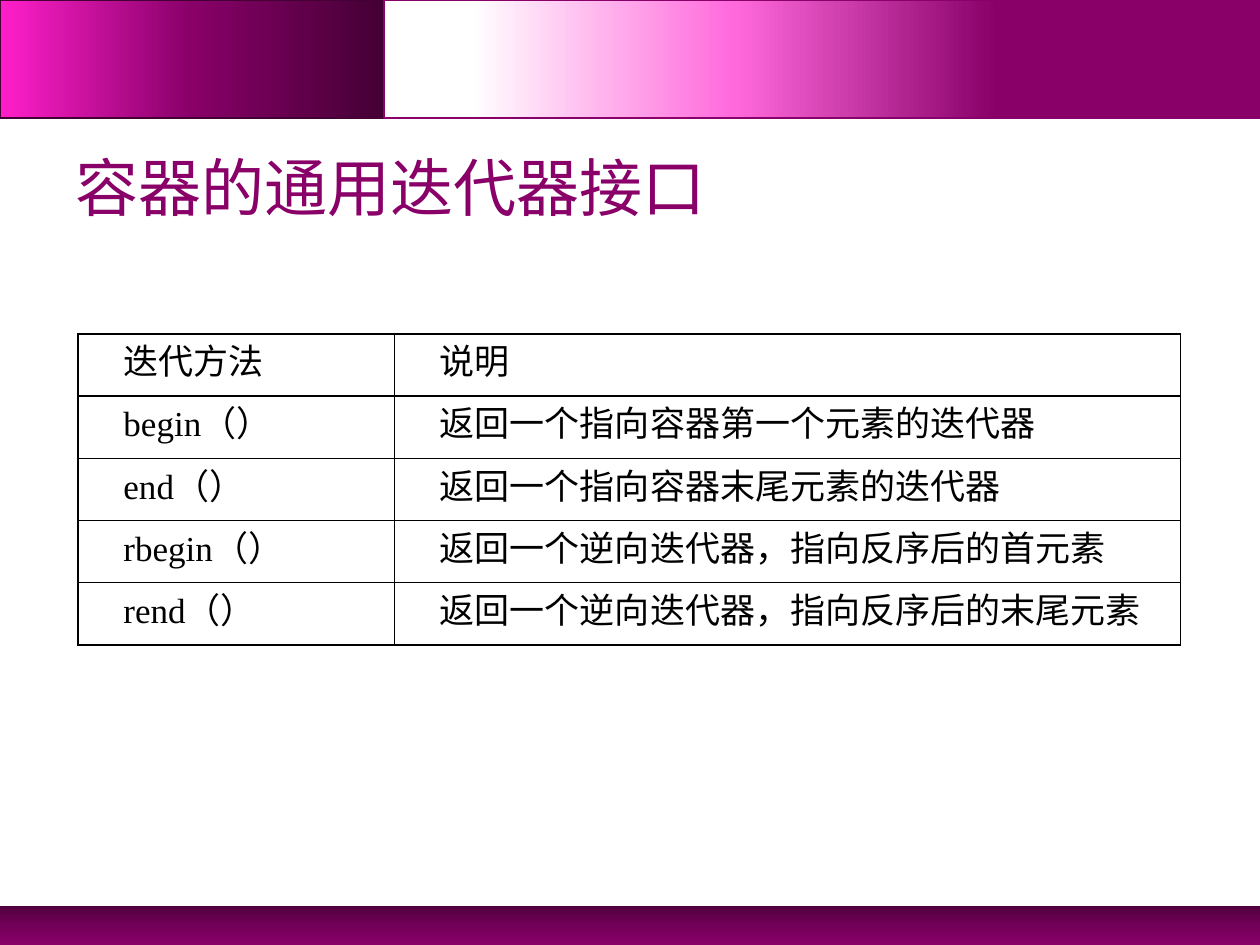
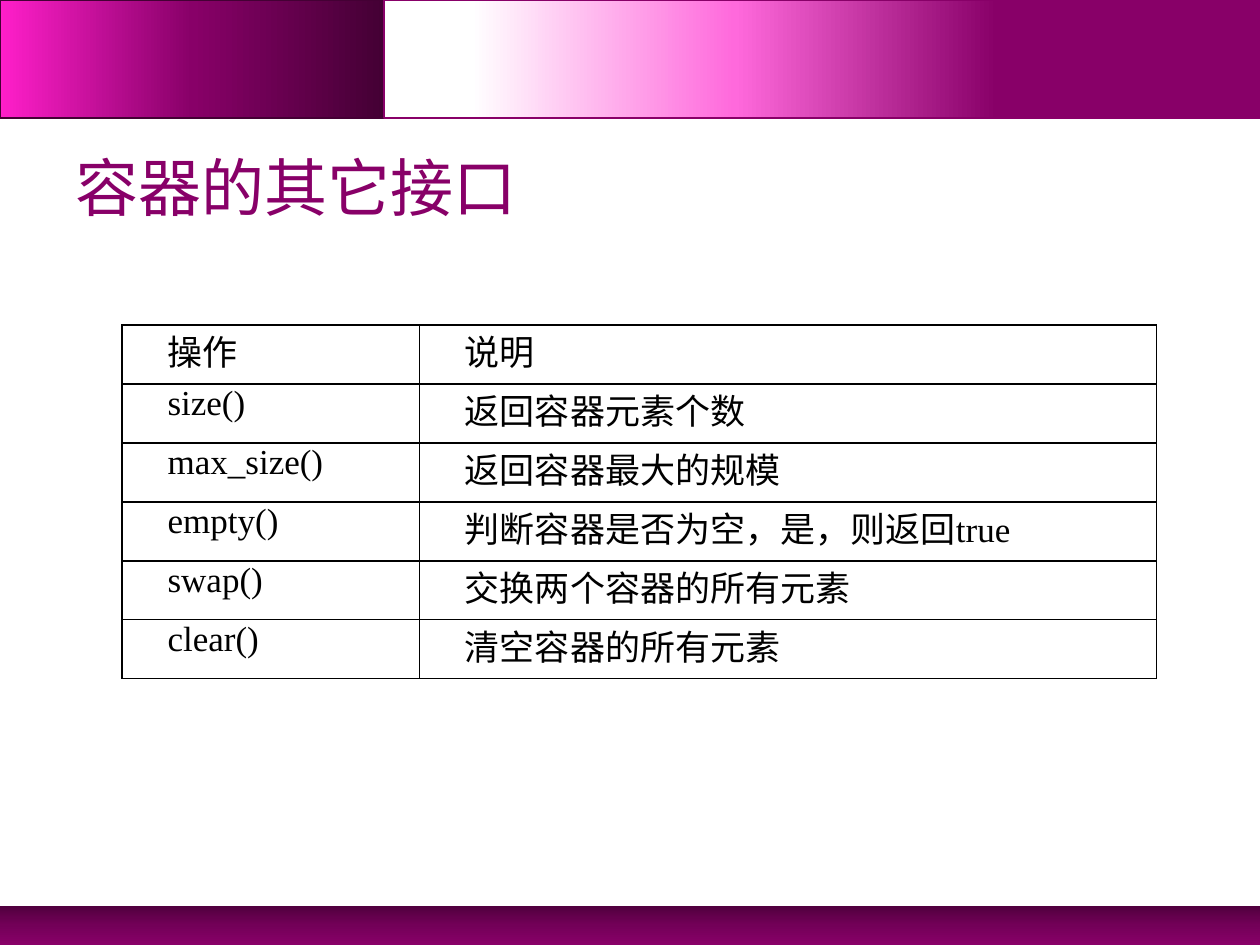
from dataclasses import dataclass

from lxml import etree
from pptx import Presentation
from pptx.dml.color import RGBColor
from pptx.enum import shapes, text
from pptx.oxml import ns
from pptx.util import Inches, Pt


@dataclass(frozen=True)
class Theme:
    plum: str = "880068"
    dark: str = "440034"
    black: str = "000000"
    title_font: str = "Arial"
    table_font: str = "Times New Roman"
    title_size: int = 36
    table_size: int = 20


theme = Theme()

BANDS = [
    ((0, 7.19, 10, 0.31), [(0, "51003E"), (50, "730058"), (100, theme.plum)], 270, None),
    ((0, 0, 3.05, 0.94), [(0, theme.dark), (50, theme.plum), (100, "FF1FCA")], 180, theme.dark),
    ((3.05, 0, 6.95, 0.94), [(30, theme.plum), (60, "FF69DC"), (90, "FFFFFF")], 180, theme.plum),
]

PAGES = [
    ("容器的通用迭代器接口", (0.62, 2.65), (2.51, 6.24), 0.494, [
        ("迭代方法", "说明"),
        ("begin（）", "返回一个指向容器第一个元素的迭代器"),
        ("end（）", "返回一个指向容器末尾元素的迭代器"),
        ("rbegin（）", "返回一个逆向迭代器，指向反序后的首元素"),
        ("rend（）", "返回一个逆向迭代器，指向反序后的末尾元素"),
    ]),
    ("容器的其它接口", (0.97, 2.58), (2.36, 5.85), 0.468, [
        ("操作", "说明"),
        ("size()", "返回容器元素个数"),
        ("max_size()", "返回容器最大的规模"),
        ("empty()", "判断容器是否为空，是，则返回true"),
        ("swap()", "交换两个容器的所有元素"),
        ("clear()", "清空容器的所有元素"),
    ]),
]


def add_child(parent, tag, **attributes):
    return etree.SubElement(parent, ns.qn(tag), attributes)


def style_span(span, font, size, color):
    span.font.name = font
    span.font.size = Pt(size)
    span.font.color.rgb = RGBColor.from_string(color)


deck = Presentation()
deck.slide_width, deck.slide_height = Inches(10), Inches(7.5)

for title, (left, top), widths, row_height, rows in PAGES:
    page = deck.slides.add_slide(deck.slide_layouts[6])

    for place, stops, angle, outline in BANDS:
        band = page.shapes.add_shape(shapes.MSO_SHAPE.RECTANGLE, *map(Inches, place))
        band.shadow.inherit = False
        band.fill.gradient()
        band.fill.gradient_angle = angle
        stop_list = band._element.spPr.find(".//" + ns.qn("a:gsLst"))
        for stop in list(stop_list):
            stop_list.remove(stop)
        for position, color in stops:
            stop = add_child(stop_list, "a:gs", pos=str(position * 1000))
            add_child(stop, "a:srgbClr", val=color)
        if outline:
            band.line.color.rgb = RGBColor.from_string(outline)
            band.line.width = Pt(1)
        else:
            band.line.fill.background()

    box = page.shapes.add_textbox(Inches(0.5), Inches(1.09), Inches(9), Inches(0.78))
    box.text_frame.word_wrap = True
    box.text_frame.vertical_anchor = text.MSO_ANCHOR.MIDDLE
    box.text_frame.text = title
    style_span(box.text_frame.paragraphs[0].runs[0], theme.title_font, theme.title_size, theme.plum)

    table = page.shapes.add_table(
        len(rows), len(widths), Inches(left), Inches(top),
        Inches(sum(widths)), Inches(row_height * len(rows)),
    ).table
    table.first_row = table.horz_banding = False
    for column, width in zip(table.columns, widths):
        column.width = Inches(width)

    for row, words in zip(table.rows, rows):
        row.height = Inches(row_height)
        for cell, wording in zip(row.cells, words):
            cell.margin_left = cell.margin_right = Inches(0.07)
            cell.margin_top = cell.margin_bottom = 0
            cell.text_frame.text = wording
            para = cell.text_frame.paragraphs[0]
            para.alignment = text.PP_ALIGN.JUSTIFY
            para._p.get_or_add_pPr().set("indent", str(Inches(0.29)))
            style_span(para.runs[0], theme.table_font, theme.table_size, theme.black)
            properties = cell._tc.get_or_add_tcPr()
            for side in ("a:lnL", "a:lnR", "a:lnT", "a:lnB"):
                border = add_child(properties, side, w=str(Pt(1)))
                add_child(add_child(border, "a:solidFill"), "a:srgbClr", val=theme.black)
            cell.fill.background()

deck.save("out.pptx")
